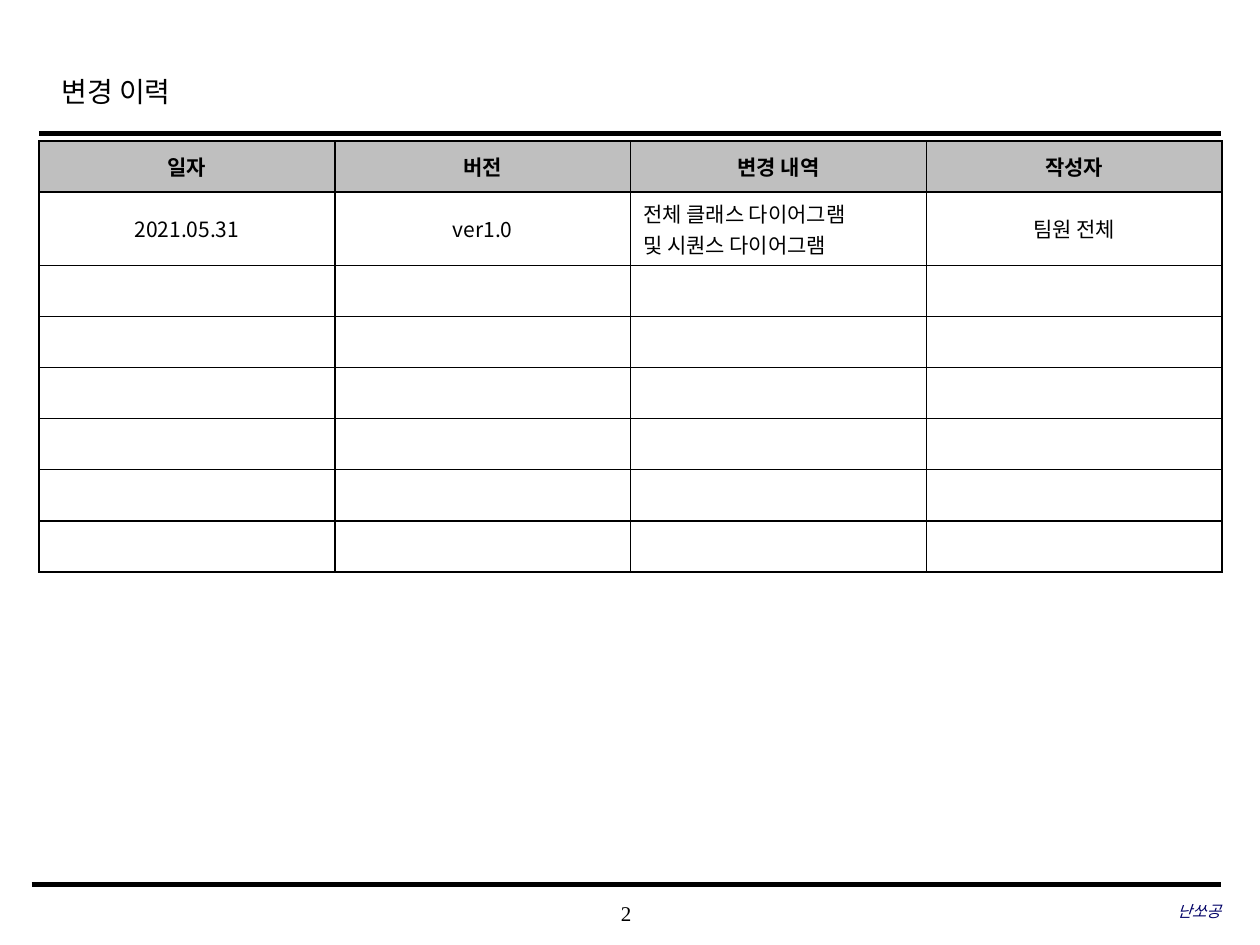
from dataclasses import dataclass

from lxml import etree
from pptx import Presentation
from pptx.dml.color import RGBColor
from pptx.enum.shapes import MSO_CONNECTOR
from pptx.enum.text import MSO_ANCHOR, PP_ALIGN
from pptx.oxml.ns import qn
from pptx.util import Inches, Pt

BLACK = RGBColor(0x00, 0x00, 0x00)
WHITE = RGBColor(0xFF, 0xFF, 0xFF)
GRAY = RGBColor(0xBF, 0xBF, 0xBF)
NAVY = RGBColor(0x00, 0x00, 0x66)
SERIF = "Times New Roman"
SANS = "Noto Sans CJK KR"
LEFT, CENTER, RIGHT = PP_ALIGN.LEFT, PP_ALIGN.CENTER, PP_ALIGN.RIGHT
TOP, MIDDLE = MSO_ANCHOR.TOP, MSO_ANCHOR.MIDDLE
STRAIGHT = MSO_CONNECTOR.STRAIGHT


@dataclass
class Style:
    size: float
    font: str = SERIF
    color: RGBColor = BLACK
    bold: bool = False
    italic: bool = False


@dataclass
class Label:
    text: str
    box: tuple[float, float, float, float]
    style: Style
    align: PP_ALIGN = CENTER
    anchor: MSO_ANCHOR = MIDDLE
    inset: tuple[float, float] = (0, 0)
    spacing: float = 1.0


@dataclass
class Rule:
    left: float
    y: float
    width: float


TITLE = Label("변경 이력", (0.39, 0.49, 7.55, 0.5), Style(16), LEFT, TOP, (0.1, 0.05), 1.2)
FOOTER = [
    Label("2", (3.93, 7.08, 2.08, 0.33), Style(12)),
    Label("난쏘공", (6.63, 7.07, 3.06, 0.33), Style(9, color=NAVY, italic=True), RIGHT),
]
RULES = [Rule(0.31, 1.06, 2.5), Rule(0.25, 7.02, 3)]
RULE_RIGHT = 9.69

HISTORY = [
    ["일자", "버전", "변경 내역", "작성자"],
    ["2021.05.31", "ver1.0", "전체 클래스 다이어그램\n및 시퀀스 다이어그램", "팀원 전체"],
]
ROWS, COLS = 8, 4
CELL_SIZE = 12
TABLE_HEIGHT = 3.42
ENTRY_HEIGHT = 0.58


def add_run(p, text: str, style: Style) -> None:
    r = p.add_run()
    r.text = text
    f = r.font
    f.size, f.name = Pt(style.size), style.font
    f.bold, f.italic = style.bold, style.italic
    f.color.rgb = style.color
    ea = etree.SubElement(r._r.get_or_add_rPr(), qn("a:ea"))
    ea.set("typeface", SANS)


def add_label(s, label: Label) -> None:
    sp = s.shapes.add_textbox(*map(Inches, label.box))
    tf = sp.text_frame
    tf.word_wrap = True
    tf.vertical_anchor = label.anchor
    tf.margin_left = tf.margin_right = Inches(label.inset[0])
    tf.margin_top = tf.margin_bottom = Inches(label.inset[1])
    p = tf.paragraphs[0]
    p.alignment = label.align
    p.line_spacing = label.spacing
    add_run(p, label.text, label.style)


def add_rule(s, rule: Rule) -> None:
    line = s.shapes.add_connector(
        STRAIGHT, Inches(rule.left), Inches(rule.y), Inches(RULE_RIGHT), Inches(rule.y))
    line.line.color.rgb = BLACK
    line.line.width = Pt(rule.width)
    etree.SubElement(line._element.spPr, qn("a:effectLst"))


def add_borders(cell) -> None:
    tcPr = cell._tc.get_or_add_tcPr()
    for i, side in enumerate(("lnL", "lnR", "lnT", "lnB")):
        ln = etree.Element(qn(f"a:{side}"), w=str(Pt(1)))
        fill = etree.SubElement(ln, qn("a:solidFill"))
        etree.SubElement(fill, qn("a:srgbClr"), val=str(BLACK))
        tcPr.insert(i, ln)


def fill_cell(cell, text: str, header: bool) -> None:
    cell.fill.solid()
    cell.fill.fore_color.rgb = GRAY if header else WHITE
    cell.vertical_anchor = MIDDLE
    add_borders(cell)
    tf = cell.text_frame
    lines = text.split("\n")
    for i, line in enumerate(lines):
        p = tf.paragraphs[0] if i == 0 else tf.add_paragraph()
        p.alignment = CENTER if len(lines) == 1 else LEFT
        if line:
            add_run(p, line, Style(CELL_SIZE, SANS, bold=header))
        else:
            # Keeps empty rows at the height of the text size
            etree.SubElement(p._p, qn("a:endParaRPr"), sz=str(CELL_SIZE * 100))


def add_history(s) -> None:
    frame = s.shapes.add_table(
        ROWS, COLS, Inches(0.31), Inches(1.12), Inches(9.39), Inches(TABLE_HEIGHT))
    table = frame.table
    table.horz_banding = False
    # The two-line entry is taller; the other rows share the rest
    row_height = (TABLE_HEIGHT - ENTRY_HEIGHT) / (ROWS - 1)
    for i, row in enumerate(table.rows):
        row.height = Inches(ENTRY_HEIGHT if i == 1 else row_height)
        values = HISTORY[i] if i < len(HISTORY) else [""] * COLS
        for j, text in enumerate(values):
            fill_cell(table.cell(i, j), text, header=i == 0)
    frame.height = Inches(TABLE_HEIGHT)


prs = Presentation()
prs.slide_width, prs.slide_height = Inches(10), Inches(7.5)
s = prs.slides.add_slide(prs.slide_layouts[6])

# Title and rules
for rule in RULES:
    add_rule(s, rule)
add_label(s, TITLE)

# Footer
for label in FOOTER:
    add_label(s, label)

# Change history
add_history(s)

prs.save("out.pptx")
